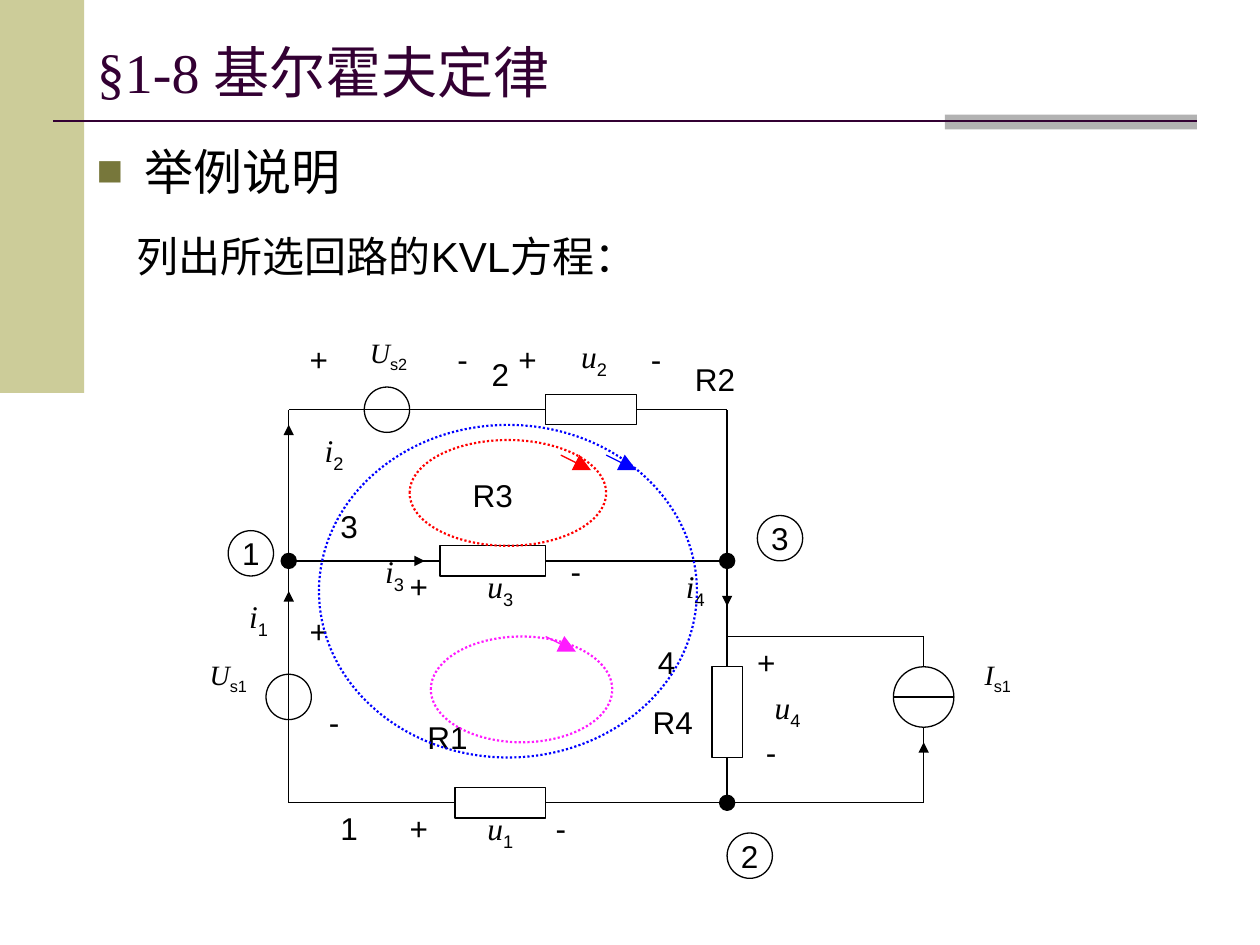
import pptx
import pptx.dml.color
import pptx.enum.dml
import pptx.enum.shapes
import pptx.enum.text
import pptx.oxml.ns
import pptx.util
from lxml import etree

Cm, Pt = pptx.util.Cm, pptx.util.Pt
RGBColor = pptx.dml.color.RGBColor
SHAPE = pptx.enum.shapes.MSO_SHAPE
ALIGN = pptx.enum.text.PP_ALIGN
ANCHOR = pptx.enum.text.MSO_ANCHOR
qn = pptx.oxml.ns.qn

BLACK = RGBColor(0x00, 0x00, 0x00)
PURPLE = RGBColor(0x33, 0x00, 0x33)
KHAKI = RGBColor(0xCC, 0xCC, 0x99)
GREY = RGBColor(0xB2, 0xB2, 0xB2)
OLIVE = RGBColor(0x77, 0x77, 0x3B)
RED = RGBColor(0xFF, 0x00, 0x00)
BLUE = RGBColor(0x00, 0x00, 0xFF)
MAGENTA = RGBColor(0xFF, 0x1A, 0xFF)

# The circuit lies on a grid, 42 columns wide, from its top left corner
CIRCUIT_LEFT, CIRCUIT_TOP = Cm(5.82), Cm(8.26)
GRID = Cm(12.8) / 42

# Wires and current arrows: from column, row to column, row
WIRES = [
    (0, 14, 0, 26), (0, 26, 11, 26), (17, 26, 42, 26), (0, 11, 0, 0),
    (0, 0, 17, 0), (0, 10, 10, 10), (23, 0, 29, 0), (29, 15, 29, 0),
    (17, 10, 29, 10), (29, 15, 42, 15), (42, 15, 42, 17), (0, 14, 0, 10),
    (29, 26, 29, 23), (42, 26, 42, 21), (40, 19, 44, 19), (29, 17, 29, 15),
]
CURRENT_ARROWS = [(42, 24, 42, 22), (0, 15, 0, 12), (3, 10, 9, 10),
                  (0, 6, 0, 1), (29, 11, 29, 13)]

# Column, row, width, height
RESISTORS = [(11, 25, 6, 2), (17, -1, 6, 2), (10, 9, 7, 2), (28, 17, 2, 6)]
SOURCES = [(-1.5, 17.5, 3, 3), (5, -1.5, 3, 3), (40, 17, 4, 4)]
JUNCTIONS = [(-0.5, 9.5, 1, 1), (28.5, 9.5, 1, 1), (28.5, 25.5, 1, 1)]
NODES = [("1", -4, 8), ("3", 31, 7), ("2", 29, 28)]
LOOPS = [
    (RED, (8, 2, 13, 7), (18, 3, 20, 4)),
    (MAGENTA, (9.4, 15, 12, 7), (17, 15, 19, 16)),
    (BLUE, (2, 1, 25, 22), (21, 3, 23, 4)),
]

# Text, column, row, width
PLAIN_LABELS = [
    ("2", 11, -4, 6), ("3", 1, 6, 6), ("4", 22, 15, 6), ("1", 1, 26, 6),
    ("R1", 6, 20, 9), ("R2", 23.7, -3.7, 9), ("R3", 9, 4, 9), ("R4", 20.9, 19, 9),
    ("+", 0, 13, 4), ("-", 1, 19, 4), ("+", 0, -5, 4), ("-", 7, -5, 9),
    ("+", 13.8, -5, 4), ("-", 21.8, -5, 5), ("+", 7, 10, 3.2), ("-", 16, 9, 6),
    ("+", 7, 26, 3.2), ("-", 15, 26, 6), ("+", 30, 15, 3.2), ("-", 28.9, 21, 6),
]
# Symbol, subscript, column, row, width, size
SYMBOL_LABELS = [
    ("U", "s1", -8, 16, 8, 16), ("U", "s2", 2.6, -5.3, 8, 16),
    ("I", "s1", 42.9, 16, 8, 16),
    ("i", "1", -5, 12, 6, 18), ("i", "2", 0, 1, 6, 18),
    ("i", "3", 4, 9, 6, 18), ("i", "4", 23.9, 10, 6, 18),
    ("u", "1", 11, 26, 6, 18), ("u", "2", 17.2, -5.2, 6, 18),
    ("u", "3", 11, 10, 6, 18), ("u", "4", 30, 18, 6, 18),
]


def grid_point(column, row):
    return int(CIRCUIT_LEFT + column * GRID), int(CIRCUIT_TOP + row * GRID)


def grid_box(column, row, width, height):
    return (*grid_point(column, row), int(width * GRID), int(height * GRID))


def format_font(font, size, color=BLACK, name="Arial", **values):
    for key, value in {"size": Pt(size), "name": name, **values}.items():
        setattr(font, key, value)
    font.color.rgb = color


def add_shape(slide, kind, box, fill=None, line=None, width=0.75, dash=None):
    shape = slide.shapes.add_shape(kind, *box)
    shape.shadow.inherit = False
    if fill is None:
        shape.fill.background()
    else:
        shape.fill.solid()
        shape.fill.fore_color.rgb = fill
    if line is None:
        shape.line.fill.background()
    else:
        shape.line.color.rgb = line
        shape.line.width = Pt(width)
        shape.line.dash_style = dash
    return shape


def add_line(slide, start, end, color=BLACK, width=0.75, arrow=None):
    connector = slide.shapes.add_connector(
        pptx.enum.shapes.MSO_CONNECTOR.STRAIGHT, *start, *end)
    connector.line.color.rgb = color
    connector.line.width = Pt(width)
    properties = connector._element.spPr
    if arrow:
        etree.SubElement(properties.find(qn("a:ln")), qn("a:tailEnd"),
                         type="triangle", w=arrow, len=arrow)
    etree.SubElement(properties, qn("a:effectLst"))


def add_wire(slide, wire, **style):
    add_line(slide, grid_point(*wire[:2]), grid_point(*wire[2:]), **style)


def add_text(slide, box, align=ALIGN.LEFT):
    frame = slide.shapes.add_textbox(*box).text_frame
    frame.word_wrap = True
    frame.paragraphs[0].alignment = align
    return frame.paragraphs[0]


def add_label(slide, column, row, width, size, text, subscript=None):
    paragraph = add_text(slide, grid_box(column, row, width, 5), ALIGN.CENTER)
    run = paragraph.add_run()
    run.text = text
    if subscript is None:
        format_font(run.font, size)
        return
    format_font(run.font, size, name="Times New Roman", italic=True)
    run = paragraph.add_run()
    run.text = subscript
    format_font(run.font, size, italic=False)
    run.font._element.set("baseline", "-25000")


def add_bullet(paragraph, indent):
    properties = paragraph._p.get_or_add_pPr()
    properties.set("marL", str(indent))
    properties.set("indent", str(-indent))
    color = etree.SubElement(properties, qn("a:buClr"))
    etree.SubElement(color, qn("a:srgbClr"), val=str(OLIVE))
    etree.SubElement(properties, qn("a:buSzPct"), val="90000")
    etree.SubElement(properties, qn("a:buFont"), typeface="Arial")
    etree.SubElement(properties, qn("a:buChar"), char="■")


def add_frame(slide):
    add_shape(slide, SHAPE.RECTANGLE, (0, 0, Cm(1.7), Cm(7.92)), KHAKI)
    add_shape(slide, SHAPE.RECTANGLE, (Cm(19.05), Cm(2.31), Cm(5.08), Cm(0.3)), GREY)
    add_line(slide, (Cm(1.07), Cm(2.44)), (Cm(24.13), Cm(2.44)), PURPLE, 1.5)


def add_headings(slide):
    title = slide.shapes.title
    box = {"left": Cm(1.7), "top": Cm(0.76), "width": Cm(22.43), "height": Cm(1.35)}
    for key, value in box.items():
        setattr(title, key, value)
    frame = title.text_frame
    frame.text = "§1-8 基尔霍夫定律"
    frame.auto_size = pptx.enum.text.MSO_AUTO_SIZE.NONE
    frame.vertical_anchor = ANCHOR.MIDDLE
    frame.paragraphs[0].alignment = ALIGN.LEFT
    format_font(frame.paragraphs[0].runs[0].font, 32, PURPLE, "Times New Roman")

    bullet = add_text(slide, (Cm(1.7), Cm(2.72), Cm(22.43), Cm(15.01)))
    add_bullet(bullet, Cm(0.97))
    bullet.add_run().text = "举例说明"
    format_font(bullet.runs[0].font, 28)

    task = add_text(slide, (Cm(2.51), Cm(4.52), Cm(13.54), Cm(1.27)))
    task.add_run().text = "列出所选回路的KVL方程："
    format_font(task.runs[0].font, 24)


def add_node(slide, number, column, row):
    shape = add_shape(slide, SHAPE.OVAL, grid_box(column, row, 3, 3), line=BLACK)
    frame = shape.text_frame
    frame.word_wrap = False
    frame.vertical_anchor = ANCHOR.MIDDLE
    frame.text = number
    frame.paragraphs[0].alignment = ALIGN.CENTER
    format_font(frame.paragraphs[0].runs[0].font, 18)


def add_circuit(slide):
    for wire in WIRES:
        add_wire(slide, wire)
    for arrow in CURRENT_ARROWS:
        add_wire(slide, arrow, arrow="med")
    for kind, boxes, fill in ((SHAPE.RECTANGLE, RESISTORS, None),
                              (SHAPE.OVAL, SOURCES, None),
                              (SHAPE.OVAL, JUNCTIONS, BLACK)):
        for box in boxes:
            add_shape(slide, kind, grid_box(*box), fill, BLACK)
    for node in NODES:
        add_node(slide, *node)


def main():
    presentation = pptx.Presentation()
    presentation.slide_width, presentation.slide_height = Cm(25.4), Cm(19.05)
    slide = presentation.slides.add_slide(presentation.slide_layouts[5])
    add_frame(slide)
    add_headings(slide)
    add_circuit(slide)
    # Labels
    for text, column, row, width in PLAIN_LABELS:
        add_label(slide, column, row, width, 18, text)
    for symbol, subscript, column, row, width, size in SYMBOL_LABELS:
        add_label(slide, column, row, width, size, symbol, subscript)
    # Chosen loops with their directions
    for color, box, arrow in LOOPS:
        add_shape(slide, SHAPE.OVAL, grid_box(*box), None, color, 1.25,
                  pptx.enum.dml.MSO_LINE.ROUND_DOT)
        add_wire(slide, arrow, color=color, arrow="lg")
    presentation.save("out.pptx")


if __name__ == "__main__":
    main()
